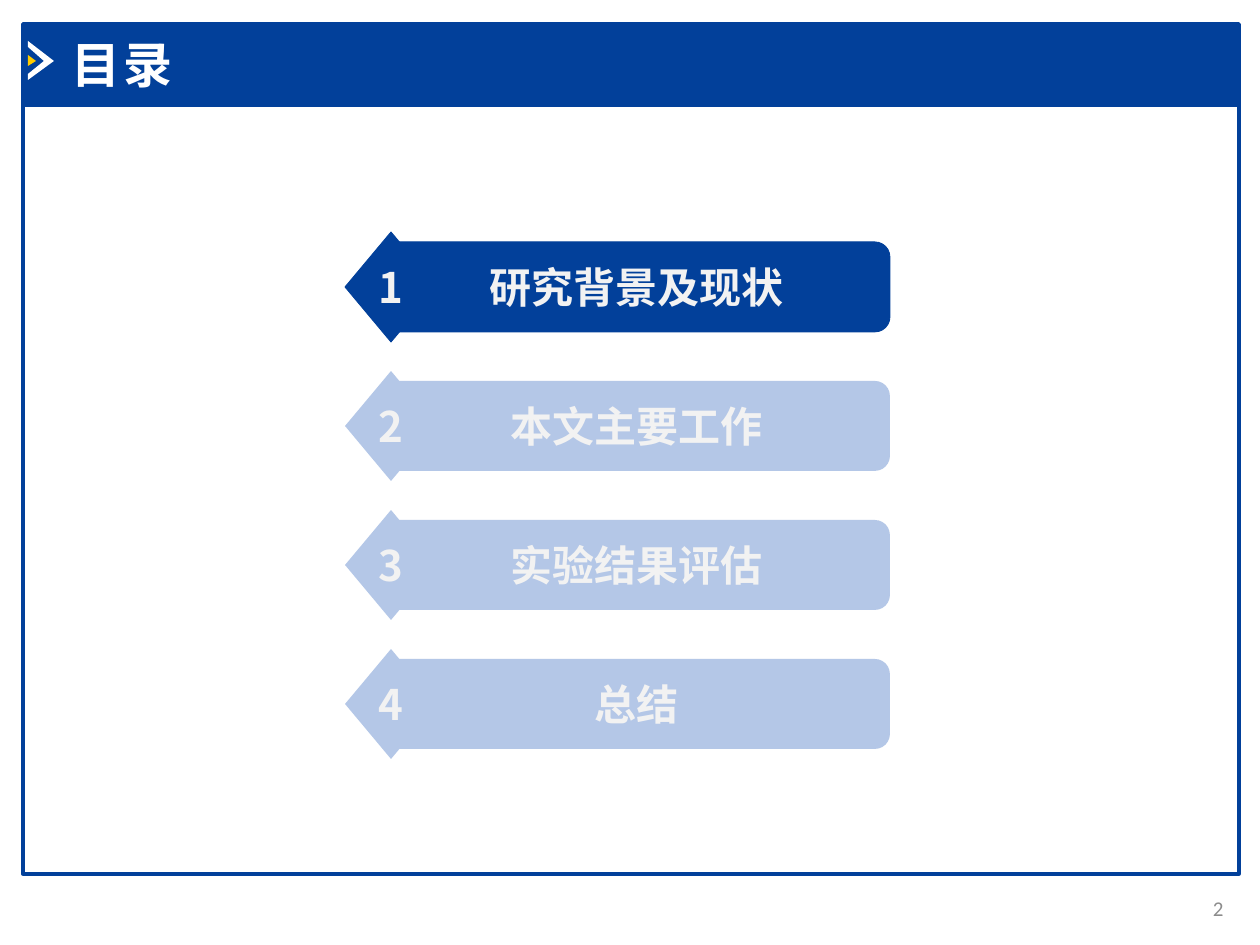
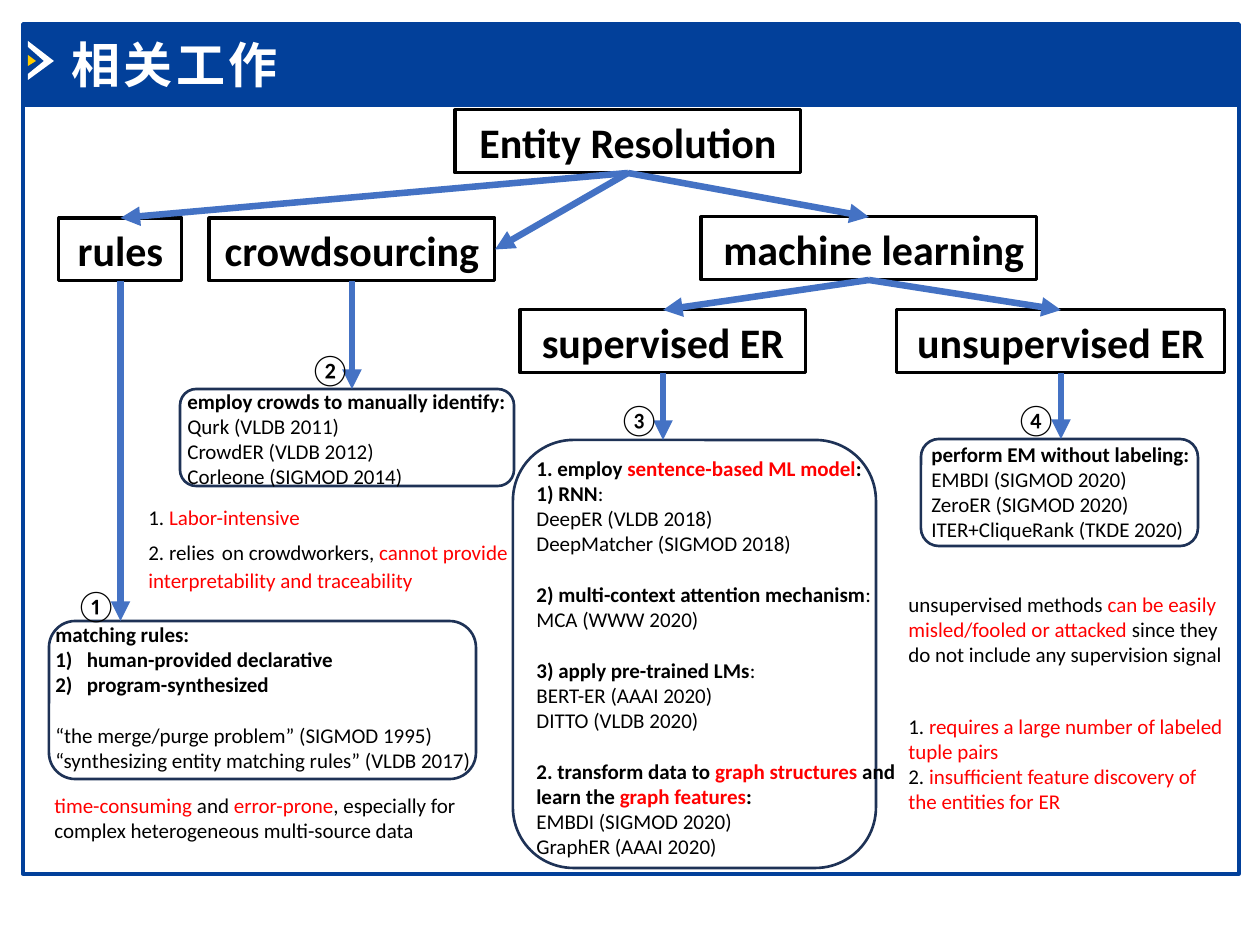
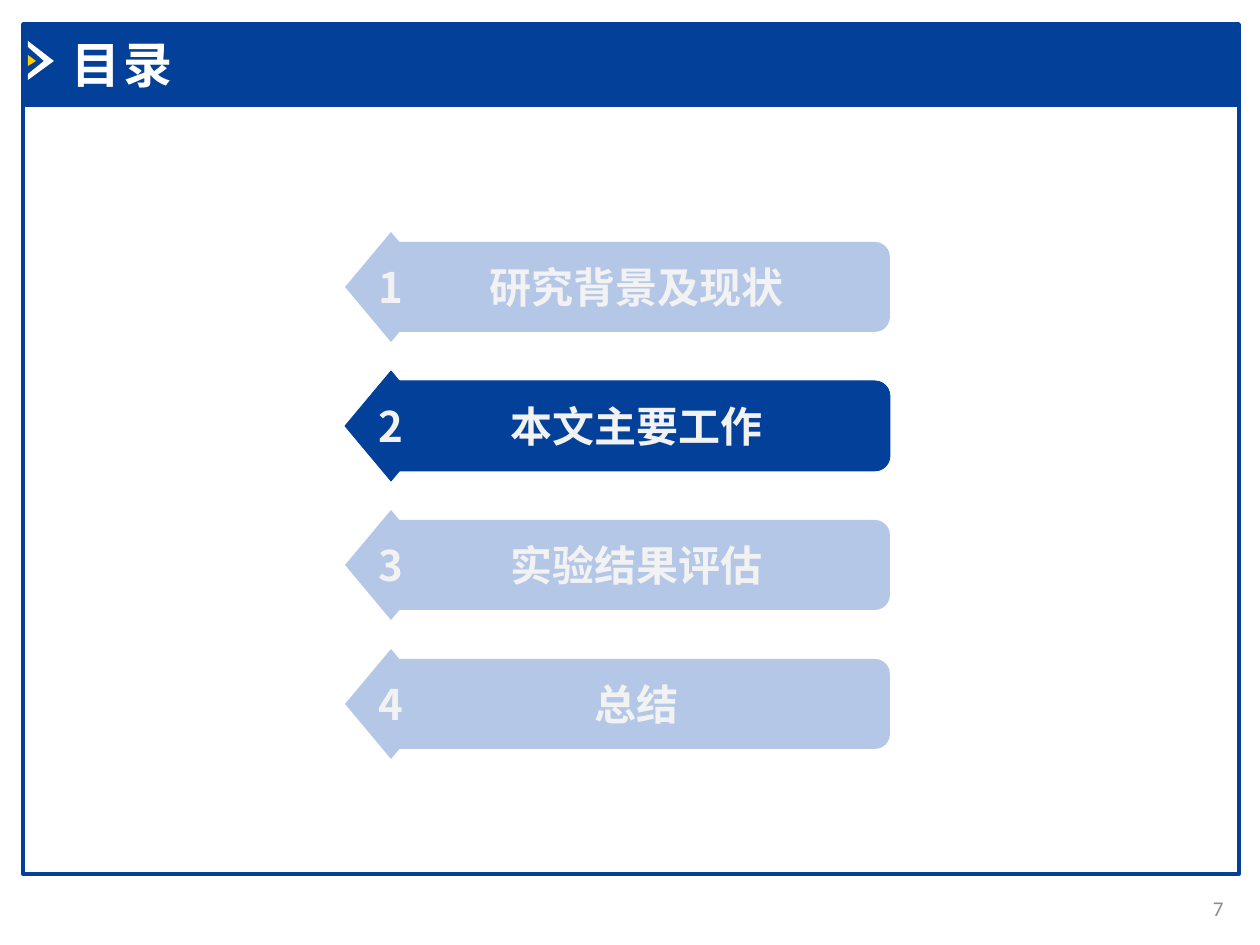
import dataclasses
import lxml.etree
import pptx
import pptx.dml.color
import pptx.enum.shapes
import pptx.enum.text
import pptx.oxml.ns
import pptx.util

SHAPE = pptx.enum.shapes.MSO_SHAPE
ALIGN = pptx.enum.text.PP_ALIGN
ANCHOR = pptx.enum.text.MSO_ANCHOR
UNIT = 914400 / 126  # EMU in one px


@dataclasses.dataclass(frozen=True)
class Theme:
    blue: str = "02409A"
    pale: str = "B4C7E7"
    arrow: str = "4472C4"
    navy: str = "1E3256"
    white: str = "FFFFFF"
    soft: str = "F2F2F2"
    gold: str = "FFCC00"
    red: str = "FF0000"
    black: str = "000000"
    grey: str = "8C8C8C"
    font: str = "Calibri"
    digit: str = "Noto Sans CJK SC"
    title: int = 28
    head: int = 24
    mark: int = 18
    body: int = 12


T = Theme()


@dataclasses.dataclass
class Para:
    runs: list
    gap: float = 0
    num: bool = False


# ---- Content: a run is a string or (string, style); b bold, r red, l large
GAP = 14.5  # one body line, in points
TOPICS = ["研究背景及现状", "本文主要工作", "实验结果评估", "总结"]

NODES = {  # text, left, top, width
    "root": ("Entity Resolution", 455, 110, 346),
    "rules": ("rules", 59, 218, 123),
    "crowd": ("crowdsourcing", 209, 218, 286),
    "learn": (" machine learning", 701, 217, 336),
    "super": ("supervised ER", 520, 310, 286),
    "unsup": ("unsupervised ER", 897, 310, 328),
}
LINKS = [  # start, end, site on the end box (0 top, 3 right)
    ("root", "rules", 0), ("root", "crowd", 3), ("root", "learn", 0),
    ("learn", "super", 0), ("learn", "unsup", 0),
]
CARDS = {  # left, top, width, height
    "rules": (49, 621, 427, 158),
    "crowd": (180, 389, 334, 97),
    "super": (513, 440, 363, 428),
    "unsup": (921, 439, 277, 107),
}
MARKS = [("①", 63, 580), ("②", 297, 344), ("③", 606, 394), ("④", 1003, 394)]

NOTES = [  # left, top, width, height, wrap, paragraphs
    (43, 615, 452, 190, True, [
        [("matching rules:", "b")],
        Para([("human-provided declarative", "b")], num=True),
        Para([("program-synthesized", "b")], num=True),
        Para(["“the merge/purge problem” (SIGMOD 1995)"], GAP),
        "“synthesizing entity matching rules” (VLDB 2017)",
    ]),
    (175, 382, 452, 165, True, [
        [("employ crowds to manually identify:", "b")],
        "Qurk (VLDB 2011)",
        "CrowdER (VLDB 2012)",
        "Corleone (SIGMOD 2014)",
    ]),
    (524, 449, 384, 420, True, [
        [("1. employ ", "b"), ("sentence-based ML model", "br"), (":", "b")],
        [("1) RNN", "b"), ":"],
        "DeepER (VLDB 2018)",
        "DeepMatcher (SIGMOD 2018)",
        Para([("2) multi-context attention mechanism", "b"), ":"], GAP),
        "MCA (WWW 2020)",
        Para([("3) apply pre-trained LMs", "b"), ":"], GAP),
        "BERT-ER (AAAI 2020)",
        "DITTO (VLDB 2020)",
        Para([("2. transform data to ", "b"), ("graph structures ", "br"),
              ("and learn the ", "b"), ("graph features", "br"),
              (":", "b")], GAP),
        "EMBDI (SIGMOD 2020)",
        "GraphER (AAAI 2020)",
    ]),
    (919, 435, 384, 115, True, [
        [("perform EM without labeling:", "b")],
        "EMBDI (SIGMOD 2020)",
        "ZeroER (SIGMOD 2020)",
        "ITER+CliqueRank (TKDE 2020)",
    ]),
    (42, 786, 427, 63, True, [
        [("time-consuming", "r"), " and ", ("error-prone", "r"),
         ", especially for complex heterogeneous multi-source data"],
    ]),
    (136, 498, 388, 102, False, [
        ["1. ", ("Labor-intensive", "r")],
        ["2. relies", (" ", "l"), "on crowdworkers, ", ("cannot provide", "r")],
        [("interpretability and traceability", "r")],
    ]),
    (896, 707, 343, 115, True, [
        ["1. ", ("requires a large number of labeled", "r")],
        [("tuple pairs", "r")],
        ["2. ", ("insufficient feature discovery of the entities for ER", "r")],
    ]),
    (896, 585, 343, 90, True, [
        ["unsupervised methods ",
         ("can be easily misled/fooled or attacked ", "r"), "since they"],
        "do not include any supervision signal",
    ]),
]


# ---- Helpers
def px(*vals):
    return [round(v * UNIT) for v in vals]


def rgb(code):
    return pptx.dml.color.RGBColor.from_string(code)


def write(shape, paras, size=T.body, color=T.black, bold=False, font=T.font,
          align=ALIGN.LEFT, anchor=ANCHOR.TOP, wrap=True, track=0):
    """Fill a shape with formatted text."""
    frame = shape.text_frame
    frame.word_wrap = wrap
    frame.auto_size = pptx.enum.text.MSO_AUTO_SIZE.NONE
    frame.vertical_anchor = anchor
    for i, item in enumerate([paras] if isinstance(paras, str) else paras):
        if not isinstance(item, Para):
            item = Para([item] if isinstance(item, str) else item)
        para = frame.add_paragraph() if i else frame.paragraphs[0]
        para.alignment = align
        if item.gap:
            para.space_before = pptx.util.Pt(item.gap)
        if item.num:
            props = para._p.get_or_add_pPr()
            props.set("marL", "228600")
            props.set("indent", "-228600")
            lxml.etree.SubElement(props, pptx.oxml.ns.qn("a:buAutoNum"),
                                  type="arabicParenR")
        for part in item.runs:
            text, style = (part, "") if isinstance(part, str) else part
            run = para.add_run()
            run.text = text
            run.font.name = font
            run.font.size = pptx.util.Pt(T.mark if "l" in style else size)
            run.font.bold = bold or "b" in style
            run.font.color.rgb = rgb(T.red if "r" in style else color)
            if track:
                run.font._element.set("spc", str(track * 100))


def paint(shape, fill=None, line=None, width=1):
    shape.shadow.inherit = False
    if fill:
        shape.fill.solid()
        shape.fill.fore_color.rgb = rgb(fill)
    else:
        shape.fill.background()
    if line:
        shape.line.color.rgb = rgb(line)
        shape.line.width = pptx.util.Pt(width)
    else:
        shape.line.fill.background()
    return shape


def draw(slide, kind, box, **look):
    return paint(slide.shapes.add_shape(kind, *px(*box)), **look)


def label(slide, box, paras, **form):
    write(slide.shapes.add_textbox(*px(*box)), paras, **form)


def outline(slide, points, fill):
    path = slide.shapes.build_freeform(*points[0], scale=UNIT)
    path.add_line_segments(points[1:], close=True)
    return paint(path.convert_to_shape(), fill=fill)


def link(slide, start, end=None, site=0, drop=0):
    """Arrow from under a box to another box, or straight down to drop."""
    mid = start.left + start.width // 2
    line = slide.shapes.add_connector(
        pptx.enum.shapes.MSO_CONNECTOR.STRAIGHT,
        mid, start.top + start.height, mid, *px(drop))
    line.begin_connect(start, 2)
    if end is not None:
        line.end_connect(end, site)
    line.line.color.rgb = rgb(T.arrow)
    line.line.width = pptx.util.Pt(3.75)
    tag = pptx.oxml.ns.qn
    lxml.etree.SubElement(line.line._get_or_add_ln(), tag("a:tailEnd"),
                          type="triangle")
    lxml.etree.SubElement(line._element.spPr, tag("a:effectLst"))


# ---- Shared frame, kept in the layout
def frame(slide, layout):
    for hold in list(layout.placeholders):
        if hold.placeholder_format.idx:
            hold.element.getparent().remove(hold.element)
    parts = [
        draw(slide, SHAPE.RECTANGLE, (23, 105, 1216, 769),
             line=T.blue, width=2),
        draw(slide, SHAPE.RECTANGLE, (23, 24, 1216, 81),
             fill=T.blue, line=T.blue, width=2),
        outline(slide, [(28, 41), (54, 61), (28, 80), (28, 74), (44, 61),
                        (28, 47)], T.white),
        outline(slide, [(28, 55), (36, 61), (28, 66)], T.gold),
    ]
    for part in parts:
        layout.shapes.element.append(part.element)


def start(deck, layout, title, width):
    slide = deck.slides.add_slide(layout)
    if len(deck.slides) == 1:
        frame(slide, layout)
    head = slide.shapes.title
    head.left, head.top, head.width, head.height = px(59, 28, width, 72)
    write(head, title, size=T.title, color=T.white, bold=True, track=2)
    return slide


# ---- Slides
def agenda(deck, layout, page, active):
    slide = start(deck, layout, "目录", 449)
    label(slide, (1162, 883, 74, 50), page, color=T.grey,
          align=ALIGN.RIGHT, anchor=ANCHOR.MIDDLE)
    form = dict(size=T.head, color=T.soft, bold=True, wrap=False,
                align=ALIGN.CENTER, anchor=ANCHOR.MIDDLE)
    for i, topic in enumerate(TOPICS):
        top = 242 + 139 * i
        tone = T.blue if i == active else T.pale
        look = dict(fill=tone, line=tone if i == active else None, width=0.5)
        bar = draw(slide, SHAPE.ROUNDED_RECTANGLE, (383, top, 507, 90), **look)
        write(bar, topic, **form)
        tip = draw(slide, SHAPE.DIAMOND, (345, top - 10, 92, 110), **look)
        write(tip, str(i + 1), font=T.digit, **form)


def related(deck, layout):
    slide = start(deck, layout, "相关工作", 922)
    boxes = {}
    for key, (text, left, top, width) in NODES.items():
        boxes[key] = draw(slide, SHAPE.RECTANGLE, (left, top, width, 63),
                          line=T.black, width=1.75)
        write(boxes[key], text, size=T.head, bold=True, align=ALIGN.CENTER)
    for card in CARDS.values():
        draw(slide, SHAPE.ROUNDED_RECTANGLE, card, line=T.navy, width=1.5)
    for a, b, site in LINKS:
        link(slide, boxes[a], boxes[b], site)
    for key, card in CARDS.items():
        link(slide, boxes[key], drop=card[1])
    for *box, wrap, paras in NOTES:
        label(slide, box, paras, wrap=wrap)
    for text, left, top in MARKS:
        label(slide, (left, top, 57, 50), text, size=T.mark, wrap=False)


def main():
    deck = pptx.Presentation()
    deck.slide_width, deck.slide_height = px(1260, 945)
    layout = deck.slide_layouts[5]
    agenda(deck, layout, "2", 0)
    related(deck, layout)
    agenda(deck, layout, "7", 1)
    deck.save("out.pptx")


if __name__ == "__main__":
    main()
